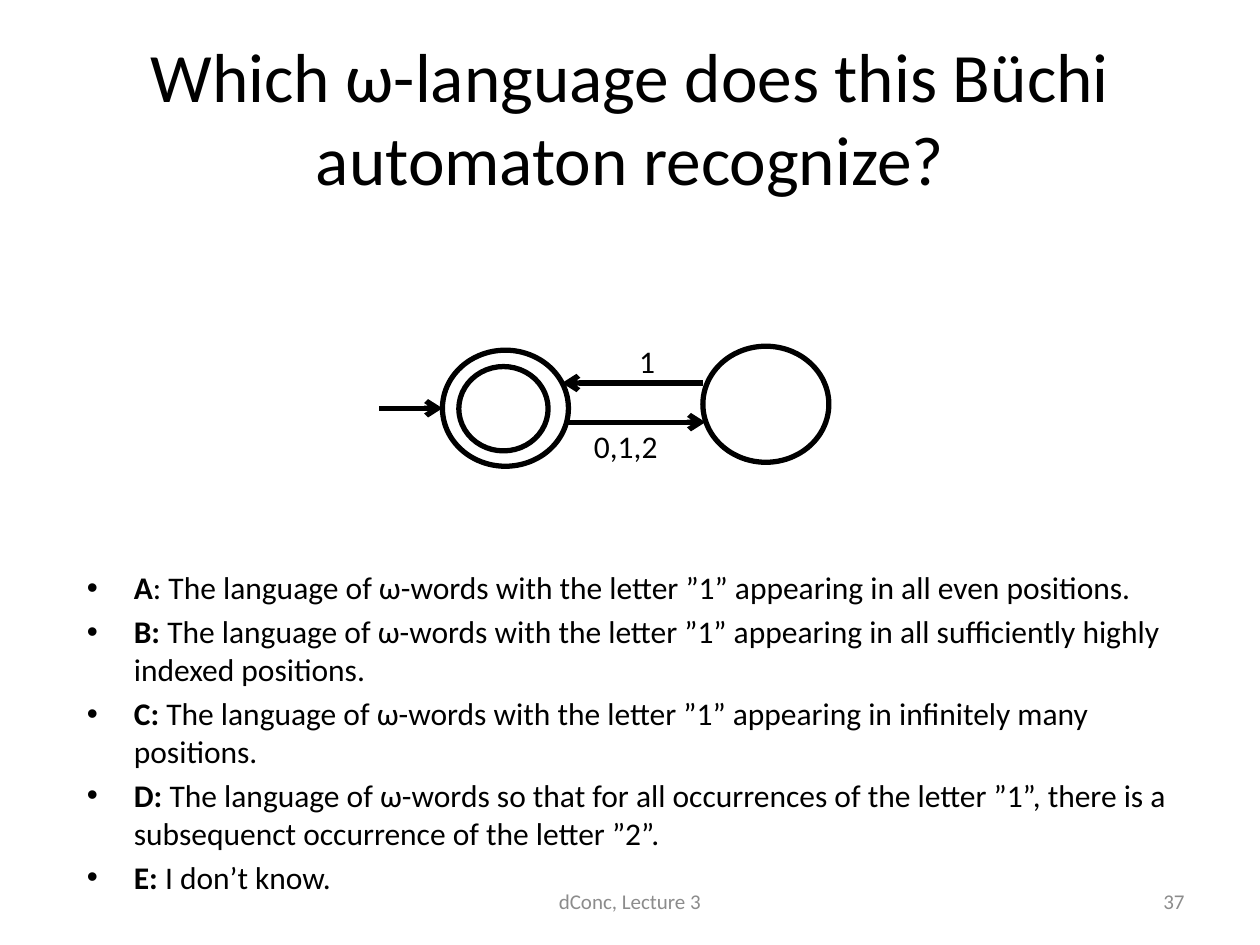
from dataclasses import dataclass

from lxml.etree import SubElement
from pptx import Presentation
from pptx.dml.color import RGBColor
from pptx.enum.shapes import MSO_CONNECTOR, MSO_SHAPE
from pptx.enum.text import MSO_ANCHOR, PP_ALIGN
from pptx.oxml.ns import qn
from pptx.util import Cm, Pt


@dataclass(frozen=True)
class Theme:
    font: str = "Calibri"
    ink: RGBColor = RGBColor(0, 0, 0)
    muted: RGBColor = RGBColor(0x8C, 0x8C, 0x8C)
    title: Pt = Pt(39.6)
    body: Pt = Pt(18)
    footer: Pt = Pt(12)
    stroke: Pt = Pt(3)


theme = Theme()


def style(paragraph, size, color, align):
    paragraph.alignment = align
    paragraph.font.name = theme.font
    paragraph.font.size = size
    paragraph.font.color.rgb = color


def add_text(box, text, size, color, align, anchor):
    """Add a one-paragraph text box; box is left, top, width, height in cm."""
    frame = slide.shapes.add_textbox(*map(Cm, box)).text_frame
    frame.word_wrap = True
    frame.vertical_anchor = anchor
    frame.text = text
    style(frame.paragraphs[0], size, color, align)


deck = Presentation()
deck.slide_width, deck.slide_height = Cm(25.4), Cm(19.05)
slide = deck.slides.add_slide(deck.slide_layouts[5])

# Title
title = slide.shapes.title
title.left, title.top, title.width, title.height = Cm(1.27), Cm(0.76), Cm(22.86), Cm(3.18)
title.text_frame.text = "Which ω-language does this Büchi automaton recognize?"
title.text_frame.vertical_anchor = MSO_ANCHOR.MIDDLE
style(title.text_frame.paragraphs[0], theme.title, theme.ink, PP_ALIGN.CENTER)

# Answers
answers = [
    ("A", ": The language of ω-words with the letter ”1” appearing in all even positions."),
    ("B:", " The language of ω-words with the letter ”1” appearing in all sufficiently "
           "highly indexed positions."),
    ("C:", " The language of ω-words with the letter ”1” appearing in infinitely many positions."),
    ("D: ", "The language of ω-words so that for all occurrences of the letter ”1”, "
            "there is a subsequenct occurrence of the letter ”2”."),
    ("E:", " I don’t know."),
]
answer_frame = slide.shapes.add_textbox(Cm(1.5), Cm(11.33), Cm(22.86), Cm(6.4)).text_frame
answer_frame.word_wrap = True
for i, (letter, statement) in enumerate(answers):
    answer = answer_frame.add_paragraph() if i else answer_frame.paragraphs[0]
    answer.space_before = Pt(3.6)
    props = answer._p.get_or_add_pPr()
    props.set("marL", str(Cm(0.95)))
    props.set("indent", str(-Cm(0.95)))
    SubElement(props, qn("a:buFont"), typeface="Arial")
    SubElement(props, qn("a:buChar"), char="•")
    style(answer, theme.body, theme.ink, PP_ALIGN.LEFT)
    for text, bold in ((letter, True), (statement, False)):
        run = answer.add_run()
        run.text = text
        run.font.bold = bold

# Footer
for box, text, align in [
    ((8.68, 17.66, 8.04, 1.01), "dConc, Lecture 3", PP_ALIGN.CENTER),
    ((18.2, 17.66, 5.93, 1.01), "37", PP_ALIGN.RIGHT),
]:
    add_text(box, text, theme.footer, theme.muted, align, MSO_ANCHOR.MIDDLE)

# States: accepting start state, second state, inner ring of the start state
for box in [(8.92, 7.06, 2.54, 2.34), (14.17, 6.98, 2.54, 2.34), (9.25, 7.39, 1.8, 1.7)]:
    state = slide.shapes.add_shape(MSO_SHAPE.OVAL, *map(Cm, box))
    state.shadow.inherit = False
    state.fill.background()
    state.line.color.rgb = theme.ink
    state.line.width = theme.stroke

# Transitions: forward, initial, back
for start_x, end_x, y in [(11.46, 14.22, 8.51), (7.65, 8.92, 8.23), (14.17, 11.33, 7.72)]:
    transition = slide.shapes.add_connector(
        MSO_CONNECTOR.STRAIGHT, Cm(start_x), Cm(y), Cm(end_x), Cm(y))
    transition.line.color.rgb = theme.ink
    transition.line.width = theme.stroke
    SubElement(transition.line._get_or_add_ln(), qn("a:tailEnd"), type="arrow")
    SubElement(transition._element.spPr, qn("a:effectLst"))

for left, top, letters in [(11.56, 8.48, "0,1,2"), (11.99, 6.78, "1")]:
    add_text((left, top, 2.11, 1.02), letters, theme.body, theme.ink,
             PP_ALIGN.CENTER, MSO_ANCHOR.TOP)

deck.save("out.pptx")
